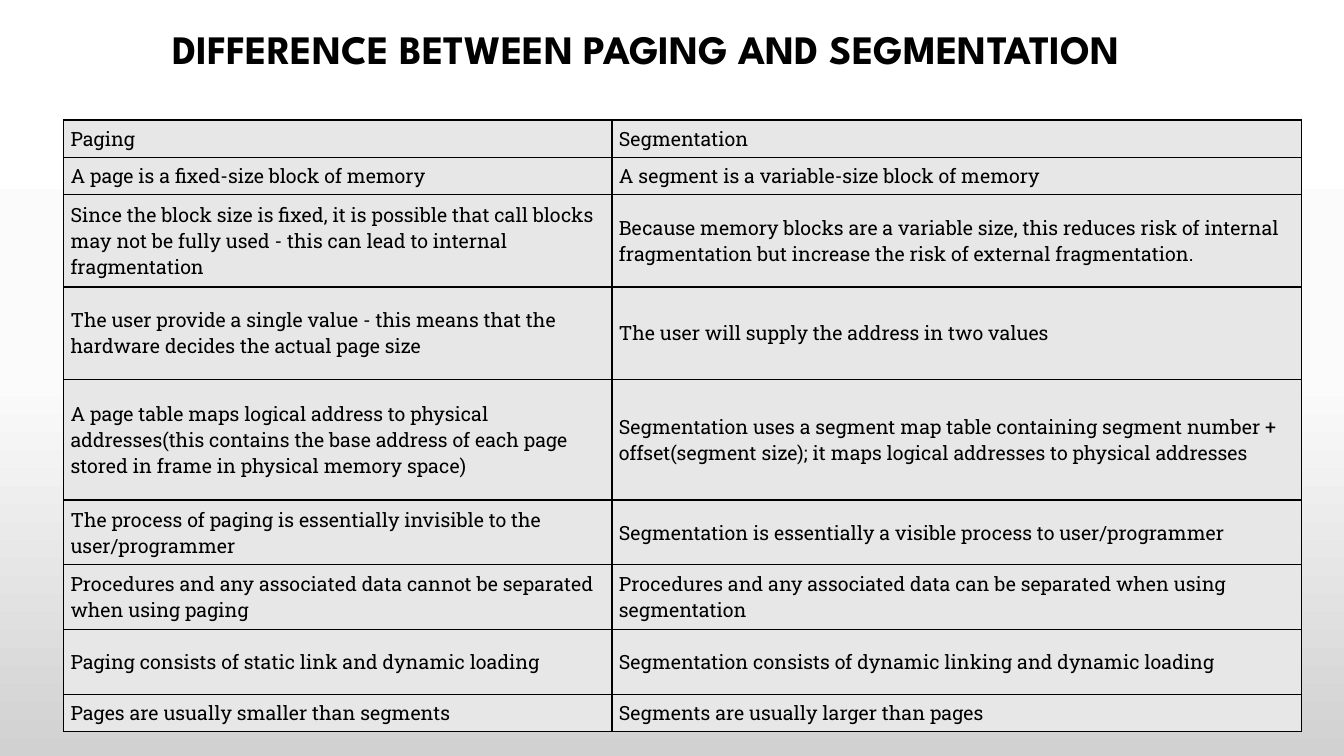
"""Build a slide comparing paging and segmentation in a two-column table."""
import copy

import pptx
import pptx.dml.color
import pptx.enum.text
import pptx.oxml
import pptx.oxml.ns
import pptx.util

Pt = pptx.util.Pt
RGBColor = pptx.dml.color.RGBColor
ANCHOR = pptx.enum.text.MSO_ANCHOR

TITLE = "DIFFERENCE BETWEEN PAGING AND SEGMENTATION"
ROWS = [
    (26.6, "Paging", "Segmentation"),
    (26.6, "A page is a fixed-size block of memory",
     "A segment is a variable-size block of memory"),
    (66.1, "Since the block size is fixed, it is possible that call blocks may not be "
     "fully used - this can lead to internal fragmentation",
     "Because memory blocks are a variable size, this reduces risk of internal "
     "fragmentation but increase the risk of external fragmentation."),
    (66.1, "The user provide a single value - this means that the hardware decides "
     "the actual page size",
     "The user will supply the address in two values"),
    (86.2, "A page table maps logical address to physical addresses(this contains the "
     "base address of each page stored in frame in physical memory space)",
     "Segmentation uses a segment map table containing segment number + "
     "offset(segment size); it maps logical addresses to physical addresses"),
    (46.3, "The process of paging is essentially invisible to the user/programmer",
     "Segmentation is essentially a visible process to user/programmer"),
    (46.3, "Procedures and any associated data cannot be separated when using paging",
     "Procedures and any associated data can be separated when using segmentation"),
    (46.3, "Paging consists of static link and dynamic loading",
     "Segmentation consists of dynamic linking and dynamic loading"),
    (26.6, "Pages are usually smaller than segments",
     "Segments are usually larger than pages"),
]
COLUMN_WIDTHS = (391.7, 492.5)
TABLE_LEFT, TABLE_TOP = 45.4, 85.7
BLACK = RGBColor(0x00, 0x00, 0x00)
CELL_GRAY = RGBColor(0xE7, 0xE7, 0xE7)
BACKGROUND_STOPS = (
    (0, RGBColor(0xFF, 0xFF, 0xFF)),
    (0.5, RGBColor(0xFB, 0xFB, 0xFB)),
    (1, RGBColor(0xD1, 0xD1, 0xD1)),
)


def add_text(text_frame, text, font_name, size, bold):
    run = text_frame.paragraphs[0].add_run()
    run.text = text
    run.font.name = font_name
    run.font.size = Pt(size)
    run.font.bold = bold
    run.font.color.rgb = BLACK


def paint_background(slide):
    fill = slide.background.fill
    fill.gradient()
    fill.gradient_angle = 270
    stop_list = next(slide.element.iter(pptx.oxml.ns.qn("a:gsLst")))
    stop_list.insert(1, copy.deepcopy(stop_list[0]))
    for stop, (position, color) in zip(fill.gradient_stops, BACKGROUND_STOPS):
        stop.position = position
        stop.color.rgb = color


def add_title(slide):
    title = slide.shapes.title
    title.left, title.top, title.width, title.height = Pt(65.5), Pt(17.3), Pt(792), Pt(68.4)
    title.text_frame.word_wrap = True
    title.text_frame.vertical_anchor = ANCHOR.TOP
    paragraph = title.text_frame.paragraphs[0]
    paragraph.alignment = pptx.enum.text.PP_ALIGN.CENTER
    paragraph.line_spacing = 0.9
    add_text(title.text_frame, TITLE, "League Spartan", 28.8, True)


def draw_borders(cell):
    properties = cell._tc.get_or_add_tcPr()
    for index, side in enumerate("LRTB"):
        properties.insert(index, pptx.oxml.parse_xml(
            f'<a:ln{side} {pptx.oxml.ns.nsdecls("a")} w="{Pt(1)}">'
            f'<a:solidFill><a:srgbClr val="{BLACK}"/></a:solidFill></a:ln{side}>'))


def format_cell(cell, text):
    cell.margin_left = cell.margin_right = Pt(5)
    cell.margin_top = cell.margin_bottom = Pt(2.4)
    cell.vertical_anchor = ANCHOR.MIDDLE
    cell.fill.solid()
    cell.fill.fore_color.rgb = CELL_GRAY
    draw_borders(cell)
    add_text(cell.text_frame, text, "Roboto Slab", 14, False)


def add_comparison(slide):
    table = slide.shapes.add_table(
        len(ROWS), len(COLUMN_WIDTHS), Pt(TABLE_LEFT), Pt(TABLE_TOP),
        Pt(sum(COLUMN_WIDTHS)), Pt(sum(row[0] for row in ROWS))).table
    table.first_row = table.horz_banding = False
    for column, width in zip(table.columns, COLUMN_WIDTHS):
        column.width = Pt(width)
    for row, (height, *texts) in zip(table.rows, ROWS):
        row.height = Pt(height)
        for cell, text in zip(row.cells, texts):
            format_cell(cell, text)


def main():
    presentation = pptx.Presentation()
    presentation.slide_width, presentation.slide_height = Pt(960), Pt(540)
    slide = presentation.slides.add_slide(presentation.slide_layouts[5])
    paint_background(slide)
    add_title(slide)
    add_comparison(slide)
    presentation.save("out.pptx")


if __name__ == "__main__":
    main()
